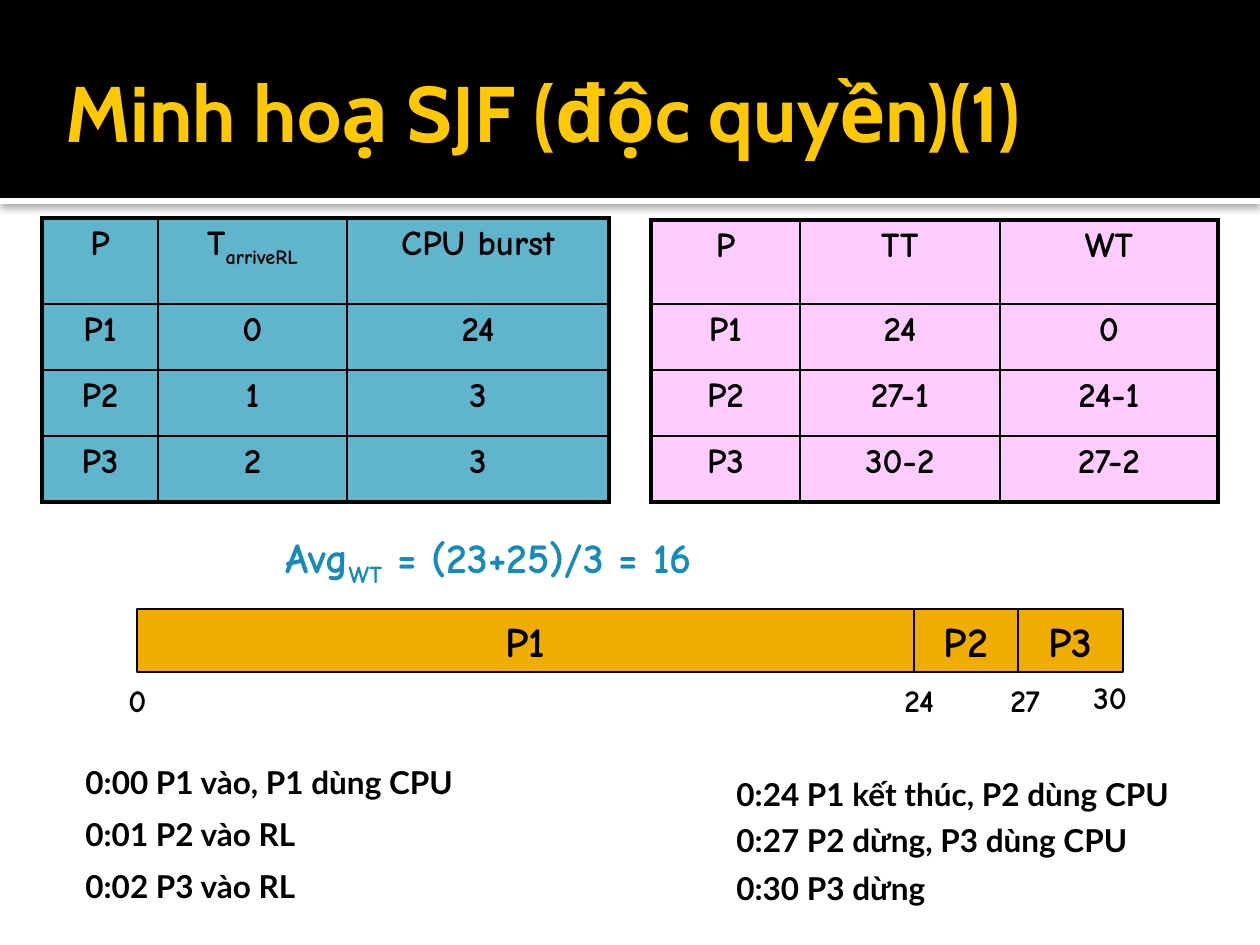
from itertools import pairwise

from lxml.etree import SubElement
from pptx import Presentation
from pptx.dml.color import RGBColor
from pptx.enum.shapes import MSO_SHAPE as Shape
from pptx.enum.text import MSO_ANCHOR as Anchor, MSO_AUTO_SIZE as AutoSize, PP_ALIGN as Align
from pptx.oxml import parse_xml
from pptx.oxml.ns import nsdecls, qn
from pptx.util import Emu, Pt

BLACK = RGBColor(0x00, 0x00, 0x00)
WHITE = RGBColor(0xFF, 0xFF, 0xFF)
YELLOW = RGBColor(0xFF, 0xC8, 0x00)
TEAL = RGBColor(0x60, 0xB5, 0xCC)
PINK = RGBColor(0xFF, 0xCC, 0xFF)
BLUE = RGBColor(0x16, 0x8B, 0xBA)
ORANGE = RGBColor(0xF0, 0xAD, 0x00)
TITLE_FONT, COMIC, BODY_FONT = "Cabin", "Comic Neue", "Lato"
THICK, THIN = 2.25, 1


def px(length):
    return Emu(round(length * 914400 / 126))


class SlideBuilder:
    def __init__(self, deck):
        self.page = deck.slides.add_slide(deck.slide_layouts[5])
        self.shapes = self.page.shapes

    def add_text(self, para, text, size, font, color=BLACK, align=Align.LEFT):
        """Fill a paragraph; every second part between underscores is subscript."""
        para.alignment = align
        for index, part in enumerate(text.split("_")):
            span = para.add_run()
            span.text = part
            span.font.size = Pt(size)
            span.font.name = font
            span.font.bold = True
            span.font.color.rgb = color
            if index % 2:
                span.font._element.set("baseline", "-25000")

    def title(self, text, left, top, width, height):
        box = self.shapes.title
        box.left, box.top, box.width, box.height = map(px, (left, top, width, height))
        frame = box.text_frame
        frame.auto_size = AutoSize.NONE
        frame.vertical_anchor = Anchor.MIDDLE
        frame.margin_left = Pt(7.2)
        frame.margin_right = frame.margin_top = frame.margin_bottom = Pt(3.6)
        self.add_text(frame.paragraphs[0], text, 45, TITLE_FONT, YELLOW)
        # Bring the title in front of the black band.
        box.element.getparent().append(box.element)

    def rectangle(self, left, top, width, height, fill):
        box = self.shapes.add_shape(Shape.RECTANGLE, *map(px, (left, top, width, height)))
        box.shadow.inherit = False
        box.fill.solid()
        box.fill.fore_color.rgb = fill
        box.line.fill.background()
        return box

    def soft_shadow(self, box):
        effects = box.element.spPr.find(qn("a:effectLst"))
        effects.append(parse_xml(
            f'<a:outerShdw {nsdecls("a")} blurRad="63500" dist="10160" dir="5400000" '
            'rotWithShape="0"><a:srgbClr val="000000"><a:alpha val="60000"/>'
            '</a:srgbClr></a:outerShdw>'))

    def bar(self, text, left, top, width, height):
        box = self.rectangle(left, top, width, height, ORANGE)
        box.line.color.rgb = BLACK
        box.line.width = Pt(0.75)
        frame = box.text_frame
        frame.word_wrap = False
        frame.vertical_anchor = Anchor.MIDDLE
        self.add_text(frame.paragraphs[0], text, 24, COMIC, align=Align.CENTER)

    def label(self, text, left, top, width, size=18, font=COMIC, color=BLACK, wrap=False):
        height = 63 if size > 18 else 50
        box = self.shapes.add_textbox(*map(px, (left, top, width, height)))
        frame = box.text_frame
        frame.word_wrap = wrap
        frame.auto_size = AutoSize.SHAPE_TO_FIT_TEXT
        self.add_text(frame.paragraphs[0], text, size, font, color)

    def borders(self, cell, widths):
        properties = cell._tc.get_or_add_tcPr()
        for index, (side, width) in enumerate(zip("LRTB", widths)):
            line = parse_xml(
                f'<a:ln{side} {nsdecls("a")} w="{Pt(width)}"/>')
            fill = SubElement(line, qn("a:solidFill"))
            SubElement(fill, qn("a:srgbClr")).set("val", str(BLACK))
            properties.insert(index, line)

    def table(self, rows, left, top, columns, heights, fill):
        """Draw a table with a thick outer frame and thin inner lines."""
        table = self.shapes.add_table(
            len(rows), len(columns),
            *map(px, (left, top, sum(columns), sum(heights)))).table
        table.first_row = table.horz_banding = False
        for column, width in zip(table.columns, columns):
            column.width = px(width)
        for row, height in zip(table.rows, heights):
            row.height = px(height)
        for r, values in enumerate(rows):
            for c, text in enumerate(values):
                cell = table.cell(r, c)
                cell.fill.solid()
                cell.fill.fore_color.rgb = fill
                self.add_text(cell.text_frame.paragraphs[0], text, 20, COMIC, align=Align.CENTER)
                outer = (c == 0, c == len(columns) - 1, r == 0, r == len(rows) - 1)
                self.borders(cell, [THICK if edge else THIN for edge in outer])


def main():
    deck = Presentation()
    deck.slide_width, deck.slide_height = px(1260), px(945)
    slide = SlideBuilder(deck)

    slide.soft_shadow(slide.rectangle(0, 198, 1260, 6, WHITE))
    slide.rectangle(0, 0, 1260, 198, BLACK)
    slide.title("Minh hoạ SJF (độc quyền)(1)", 53, 32, 1029, 158)

    arrivals = [("P", "T_arriveRL", "CPU burst"),
                ("P1", "0", "24"), ("P2", "1", "3"), ("P3", "2", "3")]
    results = [("P", "TT", "WT"),
               ("P1", "24", "0"), ("P2", "27-1", "24-1"), ("P3", "30-2", "27-2")]
    slide.table(arrivals, 42, 218, (116, 189, 262), (86, 66, 66, 66), TEAL)
    slide.table(results, 651, 220, (149, 200, 218), (84, 66, 66, 66), PINK)
    slide.label("Avg_WT_ = (23+25)/3 = 16", 273, 525, 672, 24, color=BLUE, wrap=True)

    notes = [("0:00 P1 vào, P1 dùng CPU", 73, 757, 436),
             ("0:01 P2 vào RL", 73, 809, 263),
             ("0:02 P3 vào RL", 73, 861, 263),
             ("0:24 P1 kết thúc, P2 dùng CPU", 724, 769, 510),
             ("0:27 P2 dừng, P3 dùng CPU", 724, 815, 462),
             ("0:30 P3 dừng", 724, 863, 239)]
    for note in notes:
        slide.label(*note, font=BODY_FONT)

    edges = (137, 914, 1018, 1123)
    for process, (start, end) in zip(("P1", "P2", "P3"), pairwise(edges)):
        slide.bar(process, start, 609, end - start, 63)
    times = [("0", 116, 675, 44), ("24", 892, 675, 64),
             ("27", 998, 675, 64), ("30", 1081, 672, 64)]
    for time in times:
        slide.label(*time)

    deck.save("out.pptx")


if __name__ == "__main__":
    main()
